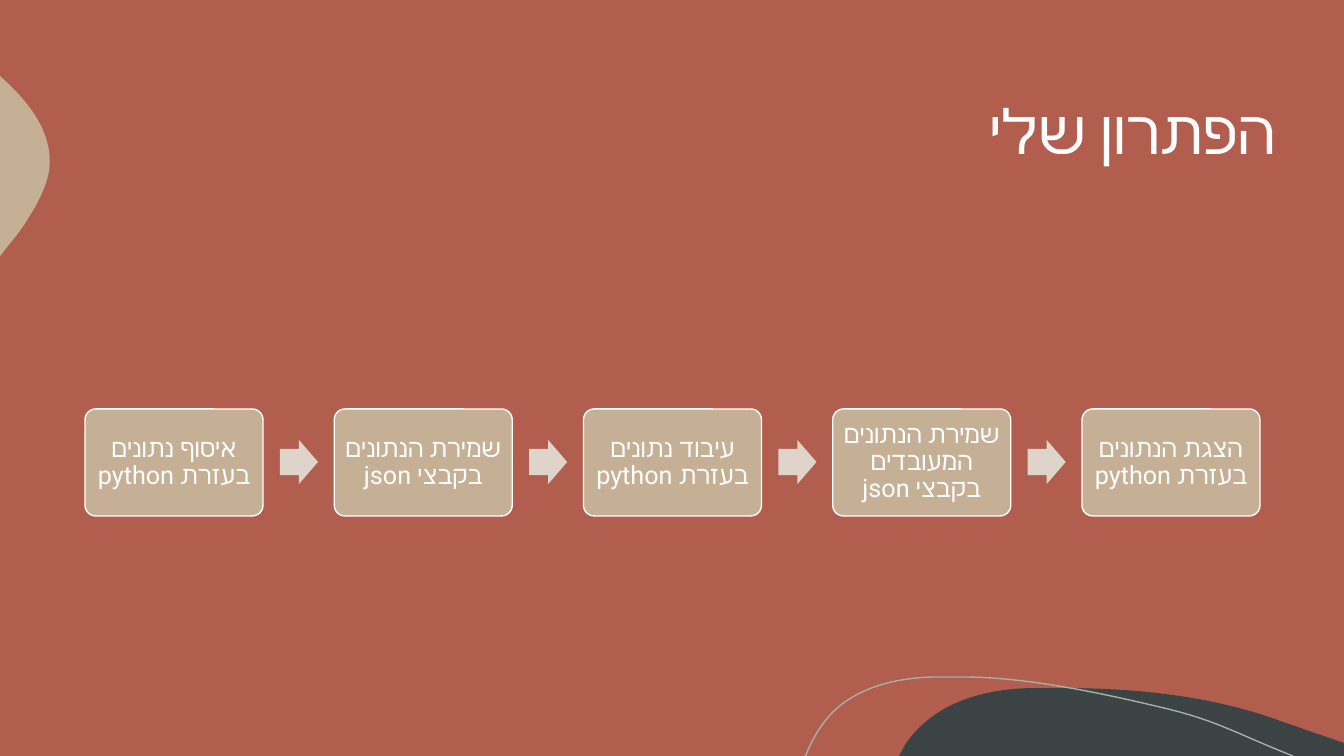
from lxml import etree
from pptx import Presentation
from pptx.dml.color import RGBColor
from pptx.enum.shapes import MSO_SHAPE as SHAPE
from pptx.enum.text import MSO_ANCHOR as ANCHOR, PP_ALIGN as ALIGN
from pptx.oxml.ns import qn
from pptx.util import Pt

PX = 914400 / 100.8  # EMU per pixel
WHITE = RGBColor(0xFF, 0xFF, 0xFF)
BRICK = RGBColor(0xB1, 0x5E, 0x4E)
SAND = RGBColor(0xC5, 0xB0, 0x96)
PALE_SAND = RGBColor(0xDF, 0xD4, 0xC9)
SLATE = RGBColor(0x3B, 0x43, 0x45)
GREY = RGBColor(0xA9, 0xAE, 0xA7)


def emu(px):
    return round(px * PX)


class Deck:
    def __init__(self, width, height):
        self.prs = Presentation()
        self.prs.slide_width, self.prs.slide_height = emu(width), emu(height)

    def slide(self, color):
        self.s = self.prs.slides.add_slide(self.prs.slide_layouts[5])
        self.s.background.fill.solid()
        self.s.background.fill.fore_color.rgb = color

    def paint(self, sp, fill=None, line=None):
        sp.shadow.inherit = False
        if fill is None:
            sp.fill.background()
        else:
            sp.fill.solid()
            sp.fill.fore_color.rgb = fill
        if line is None:
            sp.line.fill.background()
        else:
            sp.line.color.rgb = line
            sp.line.width = Pt(1)

    def text(self, sp, text, font, size, align, inset=None):
        tf = sp.text_frame
        tf.text = text
        tf.word_wrap = True
        tf.vertical_anchor = ANCHOR.MIDDLE
        if inset is not None:
            tf.margin_left = tf.margin_right = tf.margin_top = tf.margin_bottom = emu(inset)
        p = tf.paragraphs[0]
        p.alignment, p.line_spacing = align, 0.9
        p._p.get_or_add_pPr().set("rtl", "1")
        for r in p.runs:
            r.font.name, r.font.size = font, Pt(size)
            r.font.color.rgb = WHITE
            # Hebrew takes the complex-script font
            etree.SubElement(r._r.get_or_add_rPr(), qn("a:cs")).set("typeface", font)

    def title(self, text, x, y, w, h):
        sp = self.s.shapes.title
        sp.left, sp.top, sp.width, sp.height = map(emu, (x, y, w, h))
        self.text(sp, text, "Calibri", 44, ALIGN.RIGHT)

    def shape(self, kind, x, y, w, h, adjustments, fill, line=None):
        sp = self.s.shapes.add_shape(kind, *map(emu, (x, y, w, h)))
        for i, value in enumerate(adjustments):
            sp.adjustments[i] = value
        self.paint(sp, fill, line)
        return sp

    def outline(self, start, *segments, fill=None, line=None):
        """Draw an outline: pairs are lines, sextuples are Bezier curves."""
        builder = self.s.shapes.build_freeform(*map(emu, start), scale=1.0)
        ends = [tuple(map(emu, seg[-2:])) for seg in segments]
        builder.add_line_segments(ends, close=fill is not None)
        sp = builder.convert_to_shape()
        self.paint(sp, fill, line)
        # Bend the segments that have control points
        for node, seg in zip(list(sp._element.iter(qn("a:lnTo"))), segments):
            if len(seg) == 6:
                node.tag = qn("a:cubicBezTo")
                for i in (2, 0):
                    pt = etree.Element(qn("a:pt"))
                    pt.set("x", str(emu(seg[i]) - sp.left))
                    pt.set("y", str(emu(seg[i + 1]) - sp.top))
                    node.insert(0, pt)


deck = Deck(1344, 756)
deck.slide(BRICK)

# Decorative blobs and curve
deck.outline(
    (1062, 688), (1137, 688, 1214, 696, 1283, 722), (1296, 726, 1308, 731, 1321, 735),
    (1344, 743), (1344, 756), (899, 756), (905, 745), (909, 739, 913, 734, 918, 729),
    (947, 699, 990, 689, 1031, 688), (1041, 688, 1052, 688, 1062, 688), fill=SLATE)
deck.outline(
    (0, 76), (1, 77), (30, 103, 54, 134, 49, 171), (46, 188, 37, 205, 27, 220),
    (24, 226, 17, 235, 8, 246), (0, 256), fill=SAND)
deck.outline(
    (805, 756), (806, 755), (812, 739, 821, 725, 831, 714), (857, 687, 896, 678, 933, 677),
    (963, 677), (1030, 677, 1109, 695, 1164, 708), (1218, 721, 1235, 733, 1293, 756), line=GREY)

# Title
deck.title("הפתרון שלי", 110, 51, 1176, 168)

# Process steps, with an arrow after each but the last
STEPS = [
    "איסוף נתונים בעזרת python",
    "שמירת הנתונים בקבצי json",
    "עיבוד נתונים בעזרת python",
    "שמירת הנתונים המעובדים בקבצי json",
    "הצגת הנתונים בעזרת python",
]
FIRST_X, LAST_X = 85, 1082
pitch = (LAST_X - FIRST_X) / (len(STEPS) - 1)
for i, step in enumerate(STEPS):
    x = FIRST_X + i * pitch
    box = deck.shape(SHAPE.ROUNDED_RECTANGLE, x, 409, 178, 107, [0.1], SAND, WHITE)
    deck.text(box, step, "Roboto", 18, ALIGN.CENTER, inset=6)
    if i < len(STEPS) - 1:
        deck.shape(SHAPE.RIGHT_ARROW, x + 195, 440, 38, 44, [0.6, 0.5], PALE_SAND)

deck.prs.save("out.pptx")
